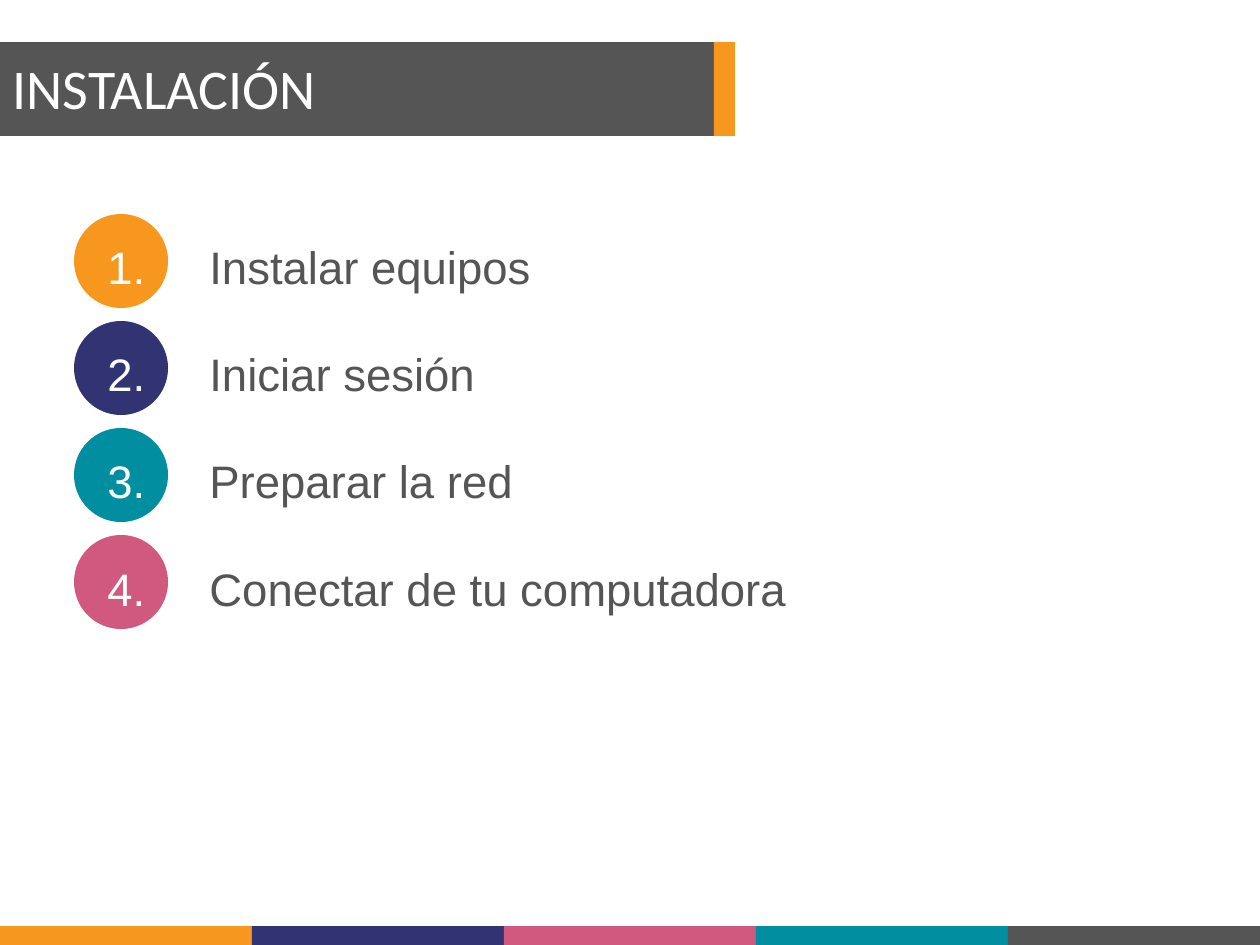
from dataclasses import dataclass

import pptx
import pptx.dml.color
import pptx.enum.shapes
import pptx.enum.text
import pptx.oxml
import pptx.oxml.ns
import pptx.util

EMU_PER_PX = 914400 / 126


@dataclass(frozen=True)
class Theme:
    orange: str = "F8971D"
    navy: str = "323372"
    pink: str = "D15980"
    teal: str = "008EA0"
    grey: str = "555555"
    white: str = "FFFFFF"
    title_font: str = "Calibri"
    body_font: str = "Arial"
    title_size: int = 32
    body_size: int = 26


THEME = Theme()
RECTANGLE = pptx.enum.shapes.MSO_SHAPE.RECTANGLE
OVAL = pptx.enum.shapes.MSO_SHAPE.OVAL
STEPS = [
    "Instalar equipos",
    "Iniciar sesión",
    "Preparar la red",
    "Conectar de tu computadora",
]


def px(length):
    return pptx.util.Emu(round(length * EMU_PER_PX))


def rgb(color):
    return pptx.dml.color.RGBColor.from_string(color)


def add_filled_shape(slide, kind, left, top, width, height, color):
    shape = slide.shapes.add_shape(kind, px(left), px(top), px(width), px(height))
    shape.shadow.inherit = False
    shape.fill.solid()
    shape.fill.fore_color.rgb = rgb(color)
    shape.line.fill.background()


def add_text_frame(slide, left, top, width, height):
    shape = slide.shapes.add_textbox(px(left), px(top), px(width), px(height))
    shape.text_frame.word_wrap = True
    return shape.text_frame


def set_font(paragraph, name, size, color):
    paragraph.font.name = name
    paragraph.font.size = pptx.util.Pt(size)
    paragraph.font.color.rgb = rgb(color)


def add_numbering(paragraph, color, indent):
    properties = paragraph._p.get_or_add_pPr()
    properties.set("marL", str(px(indent)))
    properties.set("indent", str(-px(indent)))
    namespace = pptx.oxml.ns.nsdecls("a")
    for markup in (
        f'<a:buClr {namespace}><a:srgbClr val="{color}"/></a:buClr>',
        f'<a:buFont {namespace} typeface="{THEME.body_font}"/>',
        f'<a:buAutoNum {namespace} type="arabicPeriod"/>',
    ):
        properties.append(pptx.oxml.parse_xml(markup))


def add_footer(slide):
    colors = [THEME.orange, THEME.navy, THEME.pink, THEME.teal, THEME.grey]
    for index, color in enumerate(colors):
        add_filled_shape(slide, RECTANGLE, index * 252, 926, 252, 19, color)


def add_title(slide, title):
    add_filled_shape(slide, RECTANGLE, -4, 42, 718, 94, THEME.grey)
    add_filled_shape(slide, RECTANGLE, 714, 42, 21, 94, THEME.orange)
    text_frame = add_text_frame(slide, 0, 38, 703, 98)
    text_frame.vertical_anchor = pptx.enum.text.MSO_ANCHOR.MIDDLE
    paragraph = text_frame.paragraphs[0]
    paragraph.text = title
    set_font(paragraph, THEME.title_font, THEME.title_size, THEME.white)


def add_steps(slide, steps):
    colors = [THEME.orange, THEME.navy, THEME.teal, THEME.pink]
    for index, color in enumerate(colors):
        add_filled_shape(slide, OVAL, 74, 214 + index * 107, 94, 94, color)
    text_frame = add_text_frame(slide, 95, 189, 1077, 655)
    for index, step in enumerate(steps):
        paragraph = text_frame.add_paragraph() if index else text_frame.paragraphs[0]
        paragraph.text = step
        paragraph.line_spacing = 1.8
        if index:
            paragraph.space_before = pptx.util.Pt(5.2)
        add_numbering(paragraph, THEME.white, 102)
        set_font(paragraph, THEME.body_font, THEME.body_size, THEME.grey)


def main():
    presentation = pptx.Presentation()
    presentation.slide_width = px(1260)
    presentation.slide_height = px(945)
    slide = presentation.slides.add_slide(presentation.slide_layouts[6])
    add_footer(slide)
    add_title(slide, "INSTALACIÓN")
    add_steps(slide, STEPS)
    presentation.save("out.pptx")


if __name__ == "__main__":
    main()
